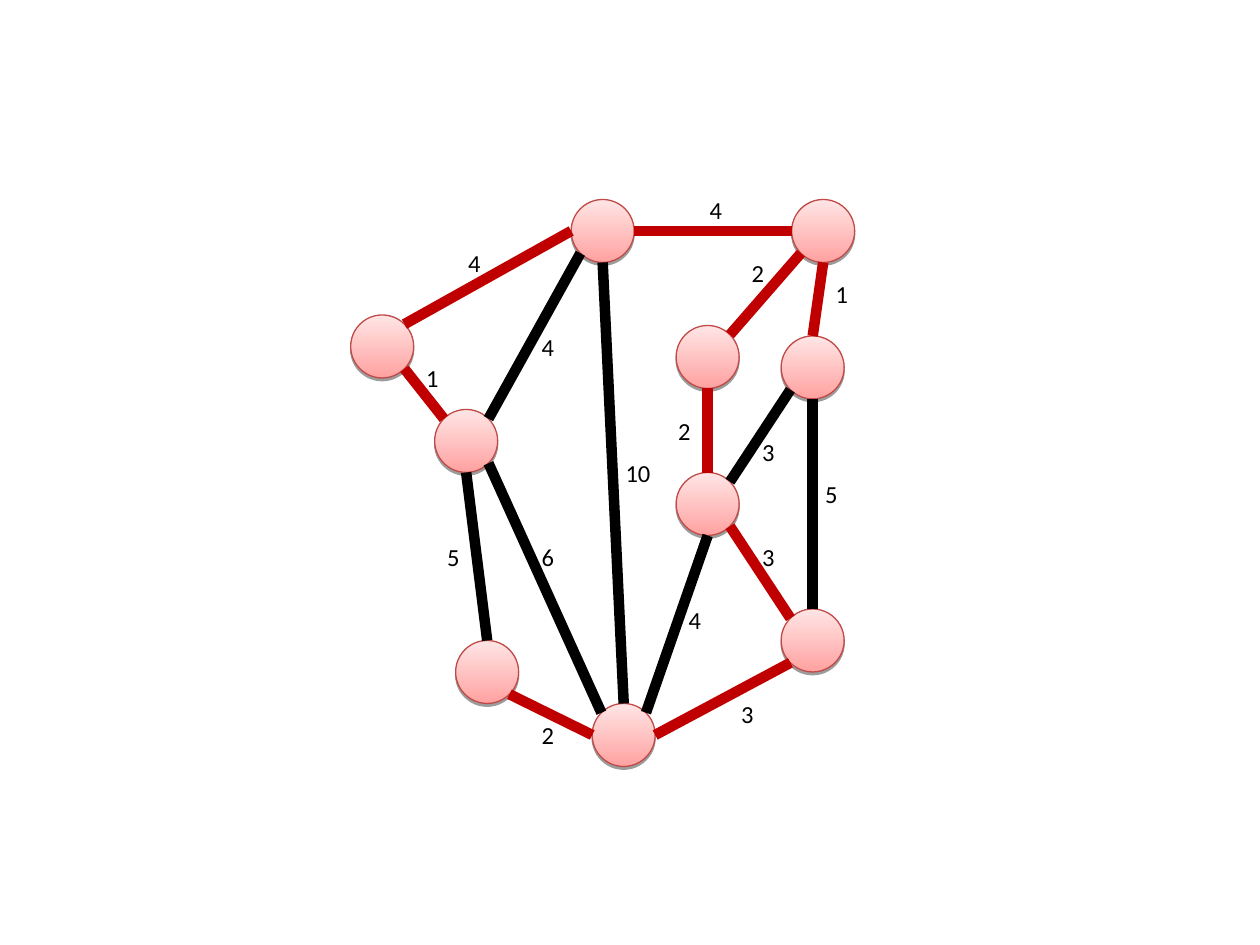
import math

from lxml import etree
from pptx import Presentation
from pptx.dml.color import RGBColor
from pptx.enum import shapes, text
from pptx.oxml import ns
from pptx.util import Pt

RADIUS = 18
SHIFT = 0.4  # horizontal offset of the whole graph
RED, BLACK = "C00000", "000000"

# Node centres
NODES = {
    "top": (344, 132), "top right": (470, 132), "inner": (404, 204),
    "fork": (266, 252), "bottom": (356, 420), "right": (464, 210),
    "lower inner": (404, 288), "lower right": (464, 366),
    "lower left": (278, 384), "left": (218, 198),
}

# Start, side, end, side, colour, weight, left and top of the weight label
EDGES = [
    ("top", "E", "top right", "W", RED, 4, 398, 108),
    ("top", "SW", "fork", "NE", BLACK, 4, 302, 186),
    ("fork", "SE", "bottom", "NW", BLACK, 6, 302, 306),
    ("bottom", "NE", "lower inner", "S", BLACK, 4, 386, 342),
    ("right", "SW", "lower inner", "NE", BLACK, 3, 428, 246),
    ("inner", "S", "lower inner", "N", RED, 2, 380, 234),
    ("top", "S", "bottom", "N", BLACK, 10, 350, 258),
    ("top right", "SW", "inner", "NE", RED, 2, 422, 144),
    ("top right", "S", "right", "N", RED, 1, 470, 156),
    ("bottom", "E", "lower right", "SW", RED, 3, 416, 396),
    ("bottom", "W", "lower left", "SE", RED, 2, 302, 408),
    ("fork", "NW", "left", "SE", RED, 1, 236, 204),
    ("lower right", "NW", "lower inner", "SE", RED, 3, 428, 306),
    ("right", "S", "lower right", "N", BLACK, 5, 464, 270),
    ("left", "NE", "top", "W", RED, 4, 260, 138),
    ("fork", "S", "lower left", "N", BLACK, 5, 248, 306),
]

COMPASS = ["E", "SE", "S", "SW", "W", "NW", "N", "NE"]


def color(value):
    return RGBColor.from_string(value)


def rim_point(node, side):
    """Point on a node's rim in the given compass direction."""
    x, y = NODES[node]
    angle = math.radians(45 * COMPASS.index(side))
    return (Pt(x + SHIFT + RADIUS * math.cos(angle)),
            Pt(y + RADIUS * math.sin(angle)))


class GraphSlide:
    font, size = "Calibri", 14
    outline, gradient = "BE4B48", ("FFA2A1", "FFE5E5")

    def __init__(self, prs):
        self.slide = prs.slides.add_slide(prs.slide_layouts[6])

    def effects(self, shape):
        return etree.SubElement(shape._element.spPr, ns.qn("a:effectLst"))

    def node(self, x, y):
        circle = self.slide.shapes.add_shape(
            shapes.MSO_SHAPE.OVAL, Pt(x + SHIFT - RADIUS), Pt(y - RADIUS),
            Pt(2 * RADIUS), Pt(2 * RADIUS))
        circle.fill.gradient()
        circle.fill.gradient_angle = 90
        for stop, shade in zip(circle.fill.gradient_stops, self.gradient):
            stop.color.rgb = color(shade)
        circle.line.color.rgb = color(self.outline)
        circle.line.width = Pt(0.75)
        # Drop shadow straight down
        shadow = etree.SubElement(
            self.effects(circle), ns.qn("a:outerShdw"), blurRad="0",
            dist=str(Pt(1.6)), dir="5400000", rotWithShape="0")
        black = etree.SubElement(shadow, ns.qn("a:srgbClr"), val=BLACK)
        etree.SubElement(black, ns.qn("a:alpha"), val="38000")

    def edge(self, start, end, shade):
        line = self.slide.shapes.add_connector(
            shapes.MSO_CONNECTOR.STRAIGHT, *start, *end)
        line.line.color.rgb = color(shade)
        line.line.width = Pt(6)
        self.effects(line)

    def label(self, weight, x, y):
        width = 21.6 if weight < 10 else 28.8
        box = self.slide.shapes.add_textbox(
            Pt(x + SHIFT), Pt(y), Pt(width), Pt(24.4))
        frame = box.text_frame
        frame.word_wrap = False
        frame.auto_size = text.MSO_AUTO_SIZE.SHAPE_TO_FIT_TEXT
        frame.text = str(weight)
        font = frame.paragraphs[0].runs[0].font
        font.name, font.size = self.font, Pt(self.size)
        font.color.rgb = color(BLACK)


def main():
    prs = Presentation()
    prs.slide_width, prs.slide_height = Pt(720), Pt(540)
    graph = GraphSlide(prs)

    # Nodes
    for x, y in NODES.values():
        graph.node(x, y)

    # Edges, the chosen ones in red, and their weights
    for start, start_side, end, end_side, shade, *_ in EDGES:
        graph.edge(rim_point(start, start_side), rim_point(end, end_side), shade)
    for *_, weight, x, y in EDGES:
        graph.label(weight, x, y)

    prs.save("out.pptx")


if __name__ == "__main__":
    main()
